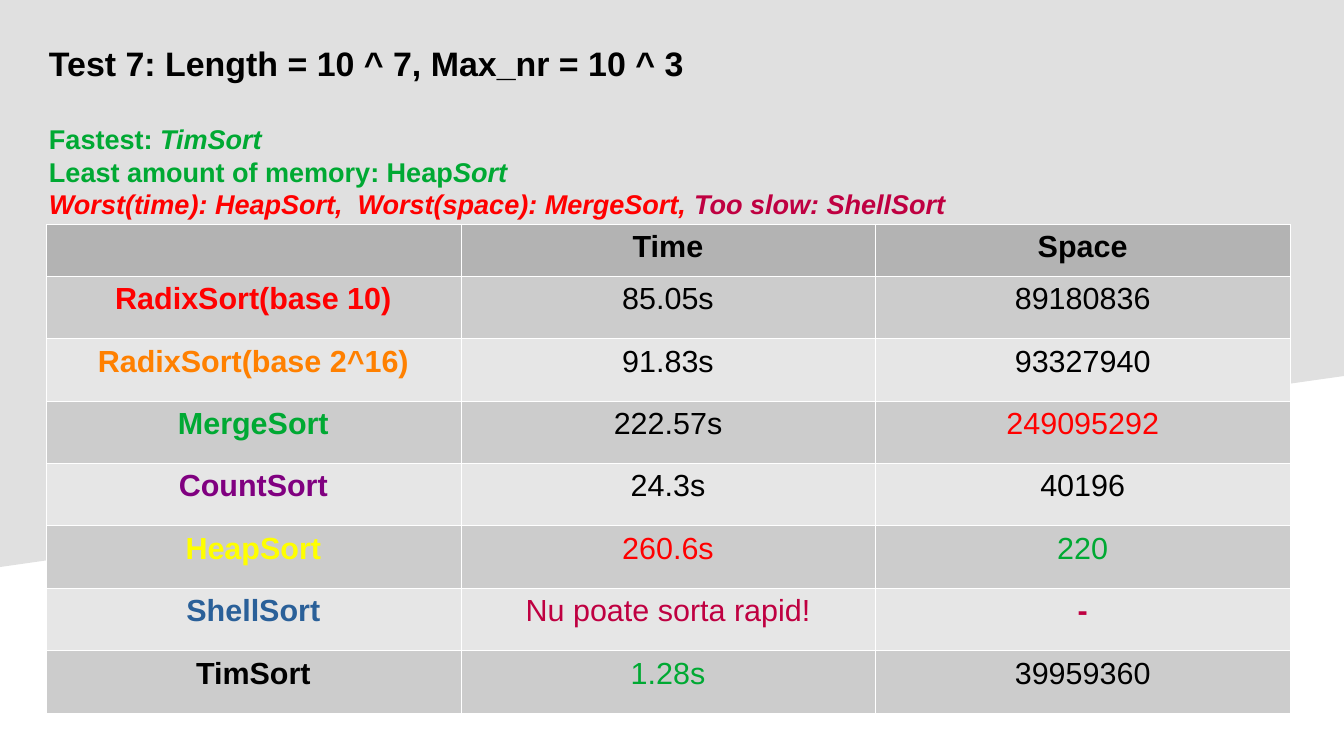
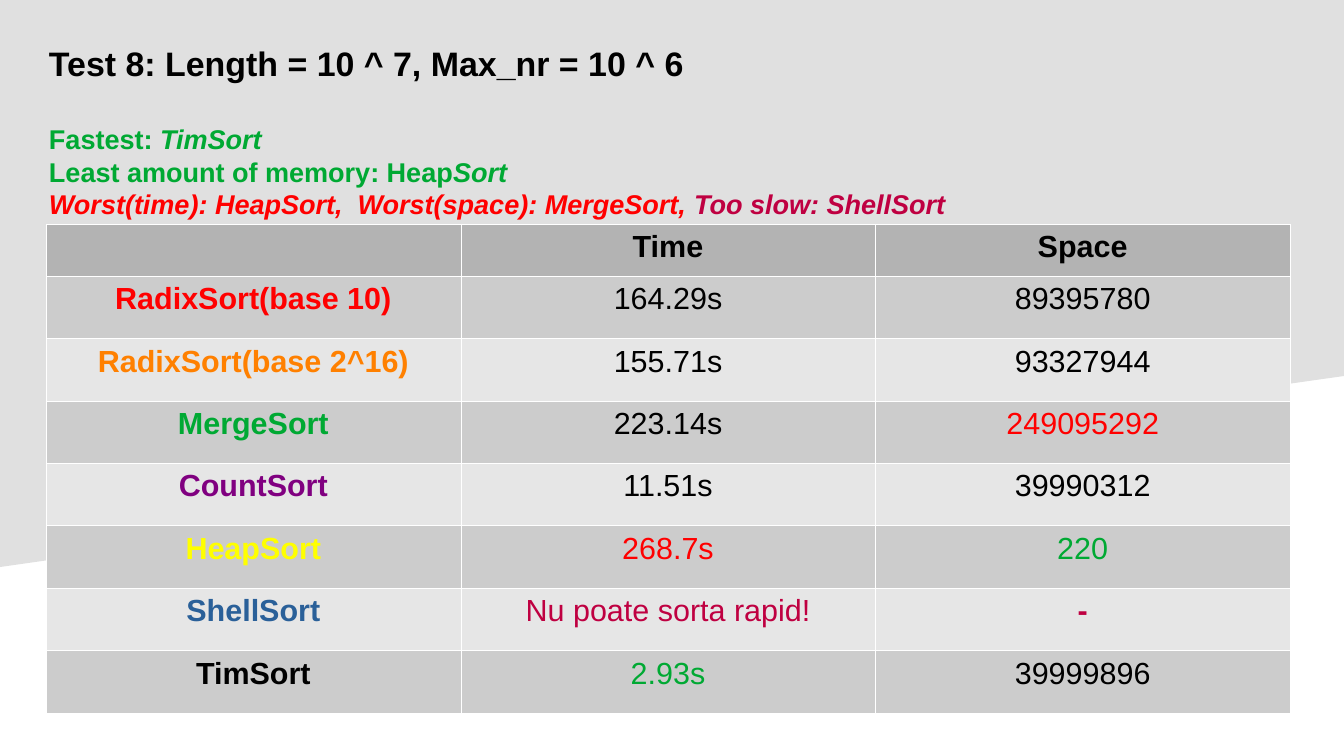
from lxml import etree
from pptx import Presentation
from pptx import util as u
from pptx.dml.color import RGBColor
from pptx.enum import text
from pptx.oxml.ns import qn

EMU_PER_PX = 7495
SLIDE_W, SLIDE_H = 1344, 756
FONT = "Arial"

COLORS = {
    "paper": "FFFFFF", "band": "E0E0E0", "ink": "000000",
    "header": "B3B3B3", "odd_row": "CCCCCC", "even_row": "E6E6E6",
    "best": "00A933", "worst": "FF0000", "too_slow": "BF0041",
    "orange": "FF8000", "purple": "800080", "yellow": "FFFF00", "blue": "2A6099",
}

ALGORITHMS = [
    ("RadixSort(base 10)", "worst"),
    ("RadixSort(base 2^16)", "orange"),
    ("MergeSort", "best"),
    ("CountSort", "purple"),
    ("HeapSort", "yellow"),
    ("ShellSort", "blue"),
    ("TimSort", "ink"),
]

# Each verdict line holds runs of (wording, colour, italic).
VERDICT = [
    [("Fastest: ", "best", False), ("TimSort", "best", True)],
    [("Least amount of memory: Heap", "best", False), ("Sort", "best", True)],
    [("Worst(time): HeapSort,  Worst(space): MergeSort, ", "worst", True),
     ("Too slow: ShellSort", "too_slow", True)],
]

# Title, seconds and bytes in the order of ALGORITHMS; None means not finished.
TESTS = [
    ("Test 7: Length = 10 ^ 7, Max_nr = 10 ^ 3",
     [85.05, 91.83, 222.57, 24.3, 260.6, None, 1.28],
     [89180836, 93327940, 249095292, 40196, 220, None, 39959360]),
    ("Test 8: Length = 10 ^ 7, Max_nr = 10 ^ 6",
     [164.29, 155.71, 223.14, 11.51, 268.7, None, 2.93],
     [89395780, 93327944, 249095292, 39990312, 220, None, 39999896]),
]


def px(length):
    return u.Emu(length * EMU_PER_PX)


def rgb(color):
    return RGBColor.from_string(COLORS[color])


def add_run(paragraph, wording, size, color="ink", bold=True, italic=False):
    run = paragraph.add_run()
    run.text = wording
    run.font.name = FONT
    run.font.size = u.Pt(size)
    run.font.bold = bold
    run.font.italic = italic
    run.font.color.rgb = rgb(color)


def add_band(slide, layout):
    """Draw the slanted band and move it to the layout that all slides share."""
    outline = slide.shapes.build_freeform(0, 0, scale=EMU_PER_PX)
    outline.add_line_segments([(SLIDE_W, 0), (SLIDE_W, 376), (0, 567)])
    band = outline.convert_to_shape()
    band.shadow.inherit = False
    band.fill.solid()
    band.fill.fore_color.rgb = rgb("band")
    band.line.fill.background()
    layout.shapes.element.append(band.element)


def add_summary(slide, title):
    left = top = 37
    box = slide.shapes.add_textbox(px(left), px(top), px(SLIDE_W - left), px(SLIDE_H - top))
    frame = box.text_frame
    frame.word_wrap = True
    add_run(frame.paragraphs[0], title, 20)
    for index, runs in enumerate(VERDICT):
        line = frame.add_paragraph()
        line.space_before = u.Pt(0 if index else 23)
        for wording, color, italic in runs:
            add_run(line, wording, 16, color, italic=italic)


def set_borders(cell):
    properties = cell._tc.get_or_add_tcPr()
    for side in ("a:lnL", "a:lnR", "a:lnT", "a:lnB"):
        border = etree.SubElement(properties, qn(side), w=str(u.Pt(0.06)))
        fill = etree.SubElement(border, qn("a:solidFill"))
        etree.SubElement(fill, qn("a:srgbClr"), val=COLORS["paper"])


def fill_cell(cell, fill, wording, color="ink", bold=True):
    set_borders(cell)
    cell.fill.solid()
    cell.fill.fore_color.rgb = rgb(fill)
    paragraph = cell.text_frame.paragraphs[0]
    paragraph.alignment = text.PP_ALIGN.CENTER
    if wording:
        add_run(paragraph, wording, 18, color, bold)


def rank_color(value, values):
    """Mark the lowest result as best and the highest as worst."""
    if value is None:
        return "too_slow"
    measured = [v for v in values if v is not None]
    return {min(measured): "best", max(measured): "worst"}.get(value, "ink")


def add_results(slide, times, spaces):
    width, header_height, body_height = 1244, 52, 437
    rows = len(ALGORITHMS) + 1
    table = slide.shapes.add_table(rows, 3, px(46), px(224), px(width),
                                   px(header_height + body_height)).table
    for column in table.columns:
        column.width = px(width) // 3
    for row in table.rows:
        row.height = px(body_height) // len(ALGORITHMS)
    table.rows[0].height = px(header_height)

    for column, label in enumerate(("", "Time", "Space")):
        fill_cell(table.cell(0, column), "header", label)
    for row, ((name, color), seconds, size) in enumerate(zip(ALGORITHMS, times, spaces), 1):
        fill = "odd_row" if row % 2 else "even_row"
        time_label = "Nu poate sorta rapid!" if seconds is None else f"{seconds}s"
        space_label = "-" if size is None else str(size)
        fill_cell(table.cell(row, 0), fill, name, color)
        fill_cell(table.cell(row, 1), fill, time_label, rank_color(seconds, times), False)
        fill_cell(table.cell(row, 2), fill, space_label, rank_color(size, spaces), size is None)


def main():
    deck = Presentation()
    deck.slide_width, deck.slide_height = px(SLIDE_W), px(SLIDE_H)
    blank = deck.slide_layouts[6]
    for index, (title, times, spaces) in enumerate(TESTS):
        slide = deck.slides.add_slide(blank)
        if index == 0:
            add_band(slide, blank)
        add_summary(slide, title)
        add_results(slide, times, spaces)
    deck.save("out.pptx")


if __name__ == "__main__":
    main()
